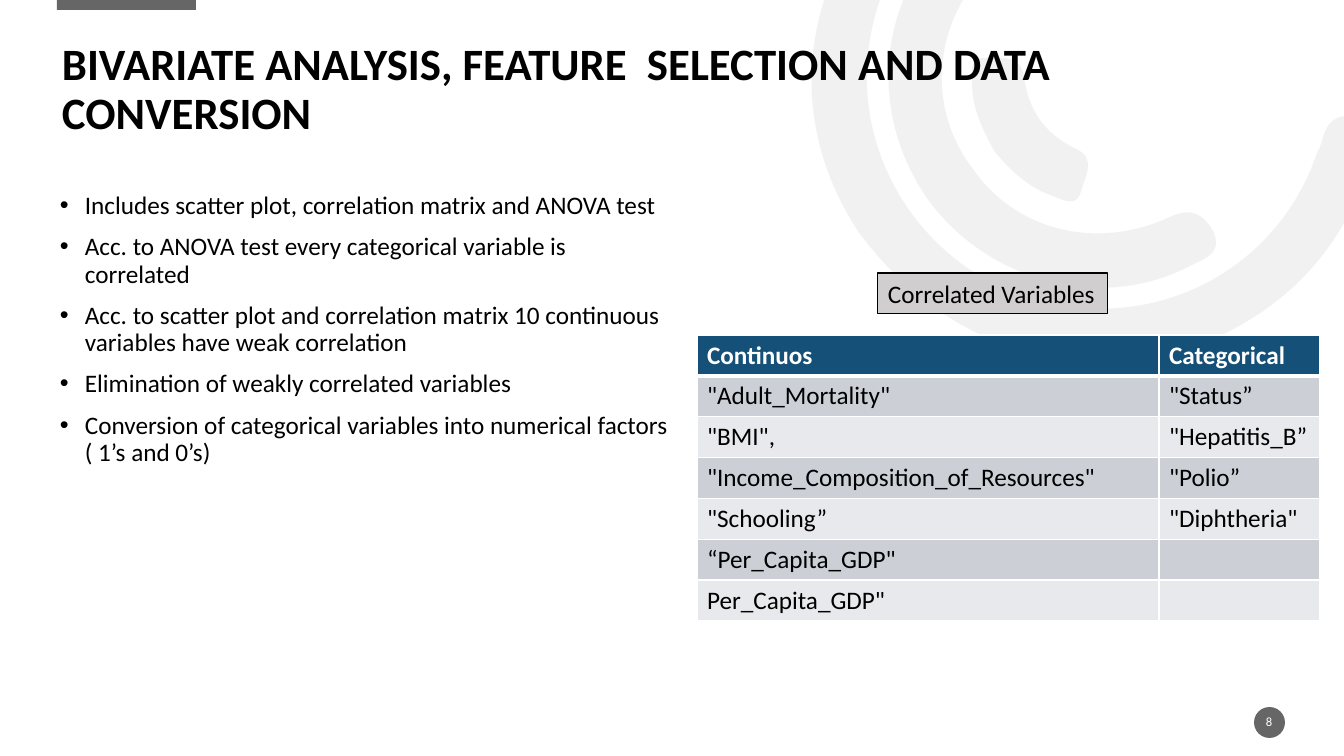
import dataclasses

import pptx
import pptx.dml.color
import pptx.enum.shapes
import pptx.enum.text
import pptx.oxml
import pptx.oxml.ns
import pptx.util

# Content
TITLE = "BIVARIATE ANALYSIS, FEATURE  SELECTION AND DATA CONVERSION"
BULLETS = [
    "Includes scatter plot, correlation matrix and ANOVA test",
    "Acc. to ANOVA test every categorical variable is correlated",
    "Acc. to scatter plot and correlation matrix 10 continuous variables have weak correlation",
    "Elimination of weakly correlated variables",
    "Conversion of categorical variables into numerical factors ( 1’s and 0’s)",
]
LABEL = "Correlated Variables"
VARIABLES = [
    ("Continuos", "Categorical"),
    ('"Adult_Mortality"', '"Status”'),
    ('"BMI",', '"Hepatitis_B”'),
    ('"Income_Composition_of_Resources"', '"Polio”'),
    ('"Schooling”', '"Diphtheria"'),
    ('“Per_Capita_GDP"', ""),
    ('Per_Capita_GDP"', ""),
]
PAGE_NUMBER = "8"

# Swirl outlines: a start point, then cubic curves (control, control, end) in px
SWIRL = [
    ((858, 231), [
        (805, 150, 793, 50, 845, -50), (897, -153, 984, -205, 1099, -209),
        (1114, -209, 1130, -212, 1140, -197), (1153, -176, 1136, -155, 1107, -155),
        (975, -155, 872, -59, 867, 69), (863, 182, 943, 283, 1054, 304),
        (1169, 327, 1280, 263, 1317, 153), (1319, 149, 1321, 145, 1322, 141),
        (1327, 120, 1338, 112, 1360, 118), (1384, 125, 1378, 142, 1372, 157),
        (1345, 247, 1288, 309, 1201, 344), (1079, 390, 943, 348, 858, 231)]),
    ((929, 201), [
        (869, 116, 876, 7, 948, -69), (959, -80, 970, -96, 988, -79),
        (1003, -65, 1005, -50, 987, -32), (932, 26, 927, 109, 973, 169),
        (1016, 231, 1097, 251, 1170, 217), (1191, 207, 1203, 214, 1213, 231),
        (1223, 252, 1207, 258, 1192, 265), (1105, 312, 991, 284, 929, 201)]),
    ((995, 152), [
        (983, 131, 972, 108, 972, 83), (972, 74, 969, 57, 984, 58),
        (1000, 59, 1021, 53, 1024, 77), (1029, 111, 1044, 133, 1076, 149),
        (1097, 158, 1085, 177, 1081, 191), (1077, 208, 1063, 200, 1053, 196),
        (1029, 188, 1011, 171, 995, 152)]),
]


@dataclasses.dataclass(frozen=True)
class Theme:
    font: str = "Calibri"
    title_size: int = 32
    body_size: int = 18
    number_size: int = 9
    text: str = "000000"
    white: str = "FFFFFF"
    accent: str = "666666"
    swirl: str = "E7E6E6"
    swirl_alpha: int = 53
    label: str = "D0CECE"
    header: str = "155078"
    bands: tuple = ("CCD0D6", "E8E9EC")


THEME = Theme()
SCALE = 914400 / 100.8  # EMU in one px
SHAPES = pptx.enum.shapes.MSO_SHAPE
ANCHOR = pptx.enum.text.MSO_ANCHOR
NAMESPACE = pptx.oxml.ns.nsdecls("a")
qn = pptx.oxml.ns.qn


def px(*lengths):
    return [pptx.util.Emu(round(length * SCALE)) for length in lengths]


def rgb(color):
    return pptx.dml.color.RGBColor.from_string(color)


def paint(shape, color):
    shape.shadow.inherit = False
    shape.fill.solid()
    shape.fill.fore_color.rgb = rgb(color)
    shape.line.fill.background()
    return shape


def add_plain(kind, box, color):
    return paint(slide.shapes.add_shape(kind, *px(*box)), color)


def set_font(paragraph, size, color, bold=False):
    font = paragraph.font
    font.name, font.size, font.bold = THEME.font, pptx.util.Pt(size), bold
    font.color.rgb = rgb(color)


def clear_margins(frame):
    frame.margin_left = frame.margin_top = frame.margin_right = frame.margin_bottom = 0


def add_arc(start, curves):
    """Lay out the end points as a freeform, then bend each side into a cubic curve."""
    ends = [curve[4:] for curve in curves]
    builder = slide.shapes.build_freeform(*start, scale=SCALE)
    builder.add_line_segments(ends, close=True)
    arc = paint(builder.convert_to_shape(), THEME.swirl)
    left, top = (min(values) for values in zip(start, *ends))
    sides = list(arc.element.iter(qn("a:lnTo")))
    for side, curve in zip(sides, curves):
        points = "".join(f'<a:pt x="{x - left}" y="{y - top}"/>'
                         for x, y in zip(curve[::2], curve[1::2]))
        side.getparent().replace(side, pptx.oxml.parse_xml(
            f"<a:cubicBezTo {NAMESPACE}>{points}</a:cubicBezTo>"))
    arc.element.find(".//" + qn("a:srgbClr")).append(pptx.oxml.parse_xml(
        f'<a:alpha {NAMESPACE} val="{THEME.swirl_alpha * 1000}"/>'))
    return arc


def set_borders(cell, top, bottom):
    properties = cell._tc.get_or_add_tcPr()
    for index, (side, points) in enumerate(
            [("L", 1), ("R", 1), ("T", top), ("B", bottom)]):
        properties.insert(index, pptx.oxml.parse_xml(
            f'<a:ln{side} {NAMESPACE} w="{points * 12700}">'
            f'<a:solidFill><a:srgbClr val="{THEME.white}"/></a:solidFill></a:ln{side}>'))


presentation = pptx.Presentation()
presentation.slide_width, presentation.slide_height = px(1344, 756)
slide = presentation.slides.add_slide(presentation.slide_layouts[5])

# Background decoration
add_plain(SHAPES.RECTANGLE, (57, -2, 139, 12), THEME.accent)
add_plain(SHAPES.OVAL, (1254, 707, 31, 31), THEME.accent)
arcs = [add_arc(start, curves) for start, curves in SWIRL]

# Title, in front of the decoration
title = slide.shapes.title
arcs[-1].element.addnext(title.element)
title.left, title.top, title.width, title.height = px(62, 25, 1234, 114)
frame = title.text_frame
frame.text = TITLE
frame.word_wrap = True
frame.auto_size = pptx.enum.text.MSO_AUTO_SIZE.NONE
frame.vertical_anchor = ANCHOR.BOTTOM
clear_margins(frame)
paragraph = frame.paragraphs[0]
paragraph.alignment = pptx.enum.text.PP_ALIGN.LEFT
paragraph.line_spacing = 0.9
set_font(paragraph, THEME.title_size, THEME.text, True)

# Page number
frame = slide.shapes.add_textbox(*px(1253, 712, 32, 20)).text_frame
frame.text = PAGE_NUMBER
frame.word_wrap = True
frame.vertical_anchor = ANCHOR.MIDDLE
clear_margins(frame)
frame.paragraphs[0].alignment = pptx.enum.text.PP_ALIGN.CENTER
set_font(frame.paragraphs[0], THEME.number_size, THEME.white)

# Bullets
frame = slide.shapes.add_textbox(*px(50, 188, 629, 294)).text_frame
frame.word_wrap = True
frame.text = "\n".join(BULLETS)
indent = px(25)[0]
for paragraph in frame.paragraphs:
    paragraph.line_spacing = 0.9
    paragraph.space_before = pptx.util.Pt(10)
    set_font(paragraph, THEME.body_size, THEME.text)
    properties = paragraph._p.get_or_add_pPr()
    properties.set("marL", str(indent))
    properties.set("indent", str(-indent))
    defaults = properties.find(qn("a:defRPr"))
    for bullet in ('buFont {} typeface="Arial"', 'buChar {} char="•"'):
        defaults.addprevious(pptx.oxml.parse_xml(f"<a:{bullet.format(NAMESPACE)}/>"))

# Table of variables
column_widths = px(462, 161)
table = slide.shapes.add_table(len(VARIABLES), 2, *px(697, 335, 623, 286)).table
table.horz_banding = False
for column, width in zip(table.columns, column_widths):
    column.width = width
for row_index, names in enumerate(VARIABLES):
    is_header = row_index == 0
    for column_index, name in enumerate(names):
        cell = table.cell(row_index, column_index)
        cell.text = name
        cell.fill.solid()
        cell.fill.fore_color.rgb = rgb(
            THEME.header if is_header else THEME.bands[(row_index - 1) % 2])
        set_borders(cell, 3 if row_index == 1 else 1, 3 if is_header else 1)
        set_font(cell.text_frame.paragraphs[0], THEME.body_size,
                 THEME.white if is_header else THEME.text, is_header)

# Table label
label = add_plain(SHAPES.RECTANGLE, (878, 273, 230, 41), THEME.label)
label.line.color.rgb = rgb(THEME.text)
label.line.width = pptx.util.Pt(0.75)
frame = label.text_frame
frame.text = LABEL
frame.word_wrap = False
frame.vertical_anchor = ANCHOR.TOP
frame.paragraphs[0].alignment = pptx.enum.text.PP_ALIGN.LEFT
set_font(frame.paragraphs[0], THEME.body_size, THEME.text)

presentation.save("out.pptx")
